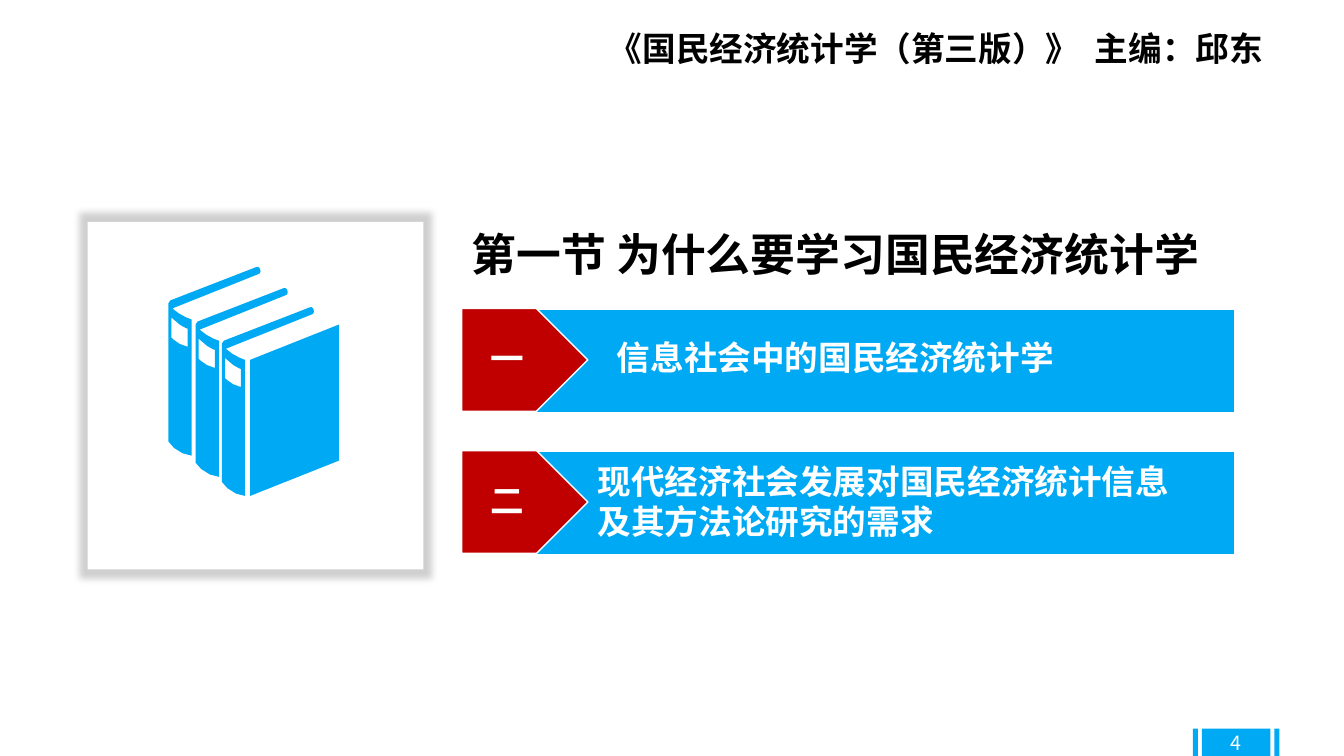
from lxml.etree import SubElement
from pptx import Presentation
from pptx.dml.color import RGBColor
from pptx.enum.shapes import MSO_SHAPE
from pptx.enum.text import MSO_ANCHOR, PP_ALIGN
from pptx.oxml.ns import qn
from pptx.util import Inches, Pt

FONT = "Noto Sans CJK SC"
BLUE = RGBColor(0x00, 0xA9, 0xF3)
RED = RGBColor(0xC0, 0x00, 0x00)
WHITE = RGBColor(0xFF, 0xFF, 0xFF)
BLACK = RGBColor(0x00, 0x00, 0x00)

VOLUME_OFFSETS = [(0, 0), (0.27, 0.21), (0.53, 0.4)]
VOLUME = [
    [(2.54, 2.65)],
    [(1.69, 2.98)],
    [(1.67, 3.01)],
    [(1.67, 4.38)],
    [(1.7, 4.44), (1.82, 4.52), (1.9, 4.52)],
    [(1.9, 3.17)],
    [(1.86, 3.16), (1.76, 3.11), (1.71, 3.06)],
    [(2.56, 2.72)],
    [(2.58, 2.72), (2.59, 2.69), (2.58, 2.67)],
    [(2.57, 2.65), (2.56, 2.64), (2.54, 2.65)],
]
SPINE_LABEL = [
    [(1.86, 3.26)],
    [(1.86, 3.44)],
    [(1.78, 3.43), (1.7, 3.35), (1.7, 3.35)],
    [(1.7, 3.15)],
    [(1.8, 3.25), (1.86, 3.26), (1.86, 3.26)],
]
FRONT_COVER = [[(2.48, 3.57)], [(2.48, 4.92)], [(3.36, 4.57)], [(3.36, 3.22)]]


def add_box(slide, kind, left, top, width, height, fill, outlined=False):
    shape = slide.shapes.add_shape(
        kind, Inches(left), Inches(top), Inches(width), Inches(height))
    shape.shadow.inherit = False
    shape.fill.solid()
    shape.fill.fore_color.rgb = fill
    if outlined:
        shape.line.color.rgb = WHITE
        shape.line.width = Pt(1)
    else:
        shape.line.fill.background()
    return shape


def add_text(slide, left, top, width, height, lines, size=24, color=WHITE,
             bold=True, wrap=True, align=PP_ALIGN.LEFT, anchor=MSO_ANCHOR.TOP):
    box = slide.shapes.add_textbox(
        Inches(left), Inches(top), Inches(width), Inches(height))
    frame = box.text_frame
    frame.word_wrap = wrap
    frame.vertical_anchor = anchor
    for index, line in enumerate(lines):
        paragraph = frame.add_paragraph() if index else frame.paragraphs[0]
        paragraph.alignment = align
        run = paragraph.add_run()
        run.text = line
        run.font.size = Pt(size)
        run.font.bold = bold
        run.font.name = FONT
        run.font.color.rgb = color
        SubElement(run.font._element, qn("a:ea"), typeface=FONT)
    return box


def add_tab_stop(paragraph, position):
    tab_list = SubElement(paragraph._p.get_or_add_pPr(), qn("a:tabLst"))
    SubElement(tab_list, qn("a:tab"), pos=str(Inches(position)), algn="l")


def add_glow_shadow(shape):
    effects = shape._element.spPr.find(qn("a:effectLst"))
    shadow = SubElement(effects, qn("a:outerShdw"), blurRad=str(Inches(0.07)),
                        sx="105000", sy="105000", algn="ctr", rotWithShape="0")
    color = SubElement(shadow, qn("a:srgbClr"), val="000000")
    SubElement(color, qn("a:alpha"), val="19000")


def curve_points(start, controls, steps=3):
    corners = [start, *controls]
    weights = [1, 3, 3, 1]
    for step in range(1, steps + 1):
        t = step / steps
        yield tuple(
            sum(weights[i] * (1 - t) ** (3 - i) * t ** i * corners[i][axis]
                for i in range(4))
            for axis in range(2))


def flatten(segments, offset):
    points = []
    for segment in segments:
        moved = [(Inches(x + offset[0]), Inches(y + offset[1])) for x, y in segment]
        points.extend(curve_points(points[-1], moved) if len(moved) == 3 else moved)
    return points


def add_books(slide):
    contours = [flatten(FRONT_COVER, (0, 0))]
    for offset in VOLUME_OFFSETS:
        contours += [flatten(VOLUME, offset), flatten(SPINE_LABEL, offset)]
    builder = slide.shapes.build_freeform(*contours[0][0])
    for index, contour in enumerate(contours):
        if index:
            builder.move_to(*contour[0])
        builder.add_line_segments(contour[1:], close=True)
    books = builder.convert_to_shape()
    books.shadow.inherit = False
    books.fill.solid()
    books.fill.fore_color.rgb = BLUE
    books.line.fill.background()


def add_topic(slide, top, number):
    add_box(slide, MSO_SHAPE.RECTANGLE, 5.3, top + 0.01, 6.95, 1.02, BLUE, True)
    add_box(slide, MSO_SHAPE.PENTAGON, 4.58, top, 1.25, 1.02, RED, True)
    add_text(slide, 4.77, top + 0.245, 0.72, 0.94, [number])


def add_page_number(slide, number):
    for left, width in [(11.92, 0.68), (12.64, 0.05), (11.83, 0.05)]:
        add_box(slide, MSO_SHAPE.RECTANGLE, left, 7.23, width, 0.27, BLUE)
    add_text(slide, 11.92, 7.17, 0.68, 0.4, [number], size=14, bold=False,
             align=PP_ALIGN.CENTER, anchor=MSO_ANCHOR.MIDDLE)


def main():
    presentation = Presentation()
    presentation.slide_width = Inches(13.33)
    presentation.slide_height = Inches(7.5)
    slide = presentation.slides.add_slide(presentation.slide_layouts[6])

    for band_top in (0.96, 7.08):
        add_box(slide, MSO_SHAPE.RECTANGLE, 0, band_top, 13.33, 0.13, WHITE)

    frame = add_box(slide, MSO_SHAPE.RECTANGLE, 0.87, 2.2, 3.33, 3.45, WHITE)
    add_glow_shadow(frame)
    add_books(slide)

    add_text(slide, 4.58, 2.2, 7.67, 0.64, ["第一节 为什么要学习国民经济统计学"],
             size=32, color=BLACK, align=PP_ALIGN.JUSTIFY)
    add_topic(slide, 3.06, "一")
    add_text(slide, 6.02, 3.29, 4.86, 0.5, ["信息社会中的国民经济统计学"])
    add_topic(slide, 4.47, "二")
    add_text(slide, 5.83, 4.52, 5.92, 0.91,
             ["现代经济社会发展对国民经济统计信息", "及其方法论研究的需求"], wrap=False)

    add_page_number(slide, "4")
    header = add_text(slide, 5.94, 0.23, 7.23, 0.5,
                      ["《国民经济统计学（第三版）》\t主编：邱东"], color=BLACK)
    add_tab_stop(header.text_frame.paragraphs[0], 4.82)
    presentation.save("out.pptx")


if __name__ == "__main__":
    main()
